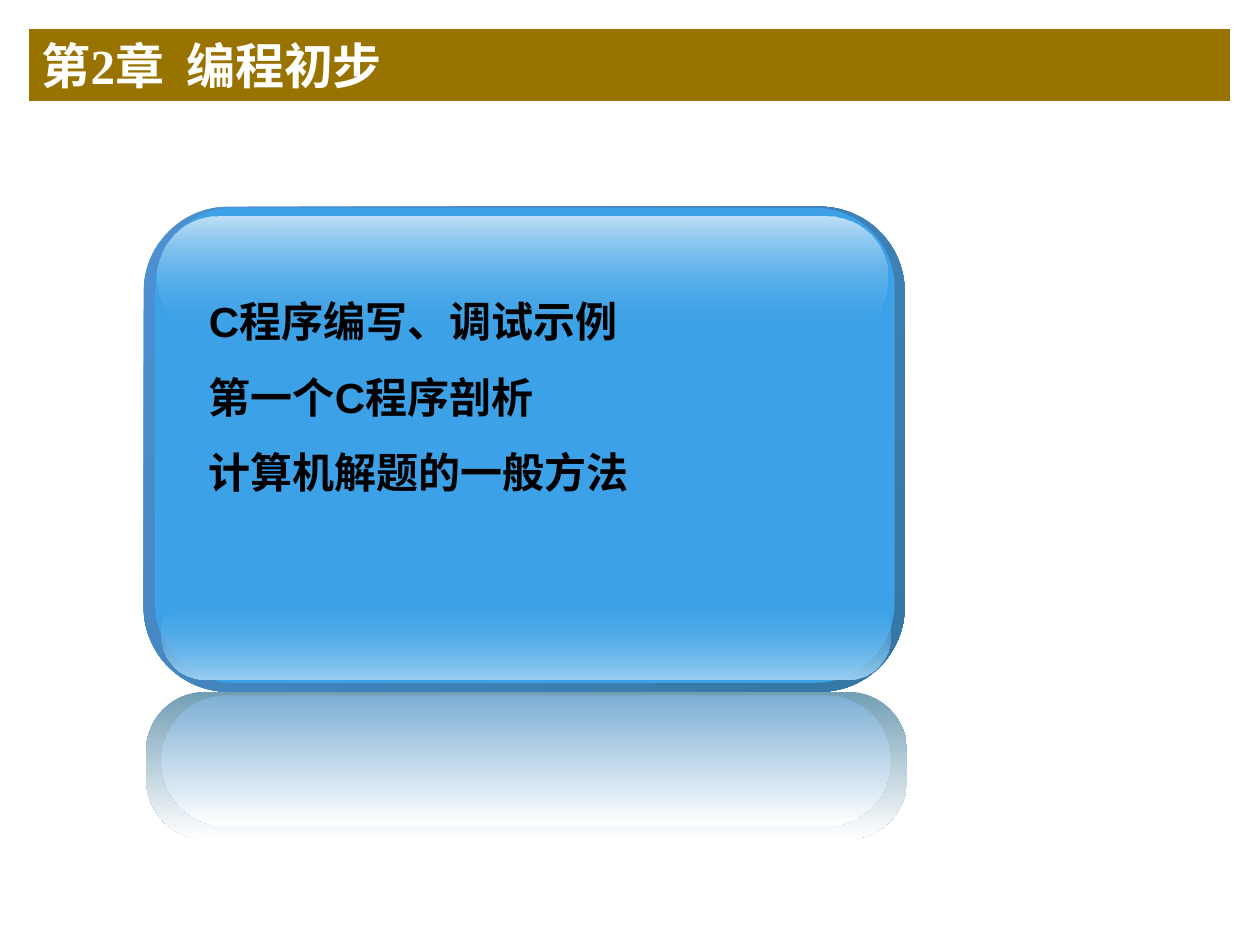
"""Build the chapter 2 opening slide with a glossy topic panel."""
from dataclasses import dataclass

import lxml.etree
import pptx
import pptx.dml.color
import pptx.enum.shapes
import pptx.enum.text
import pptx.oxml.ns
import pptx.util

COLORS = {
    "title_bar": "997300", "title_text": "FFFFFF", "topic_text": "000000",
    "rim_light": "4E91D4", "rim_dark": "3477A4", "panel": "3CA1E6",
    "top_gloss": "BEE0F7", "bottom_gloss": "9BCFF2",
    "outer_reflection": "729EB4", "inner_reflection": "7DAFD4", "background": "FFFFFF",
}
TOPICS = ["C程序编写、调试示例", "第一个C程序剖析", "计算机解题的一般方法"]


@dataclass(frozen=True)
class Layer:
    left: float
    top: float
    width: float
    height: float
    rounding: float
    colors: tuple[str, ...]
    angle: int = 270
    clear_stop: int | None = None


LAYERS = [
    Layer(82.1, 118.1, 434.9, 277.2, 0.175, ("rim_light", "rim_dark"), angle=315),
    Layer(88.6, 118.8, 422.6, 271.4, 0.167, ("panel",)),
    Layer(92.2, 337.7, 416.9, 50.4, 0.5, ("panel", "bottom_gloss"), clear_stop=0),
    Layer(90, 123.8, 416.9, 69.1, 0.5, ("top_gloss", "panel"), clear_stop=1),
    Layer(83.5, 395.3, 434.9, 84.2, 0.404, ("outer_reflection", "background")),
    Layer(92.2, 397.4, 416.9, 74.9, 0.5, ("inner_reflection", "background")),
]


def rgb(name: str) -> pptx.dml.color.RGBColor:
    """Return the named colour."""
    return pptx.dml.color.RGBColor.from_string(COLORS[name])


def place(shape, left: float, top: float, width: float, height: float) -> None:
    """Set a shape's position and size in points."""
    shape.left, shape.top, shape.width, shape.height = map(
        pptx.util.Pt, (left, top, width, height))


def draw_layer(slide, layer: Layer) -> None:
    """Draw one rounded layer of the panel."""
    shape = slide.shapes.add_shape(
        pptx.enum.shapes.MSO_SHAPE.ROUNDED_RECTANGLE,
        *map(pptx.util.Pt, (layer.left, layer.top, layer.width, layer.height)))
    shape.adjustments[0] = layer.rounding
    shape.shadow.inherit = False
    shape.line.fill.background()
    if len(layer.colors) == 1:
        shape.fill.solid()
        shape.fill.fore_color.rgb = rgb(layer.colors[0])
        return
    shape.fill.gradient()
    shape.fill.gradient_angle = layer.angle
    for stop, color in zip(shape.fill.gradient_stops, layer.colors):
        stop.color.rgb = rgb(color)
    if layer.clear_stop is not None:
        qualified = pptx.oxml.ns.qn
        fills = list(shape.element.spPr.iter(qualified("a:srgbClr")))
        lxml.etree.SubElement(fills[layer.clear_stop], qualified("a:alpha"), val="0")


def write_text(shape, lines: list[str], *, font: str, size: float, color: str,
               spacing: float = 1.0, anchor=pptx.enum.text.MSO_ANCHOR.TOP) -> None:
    """Write bold left-aligned paragraphs into a shape."""
    frame = shape.text_frame
    frame.word_wrap = True
    frame.auto_size = pptx.enum.text.MSO_AUTO_SIZE.NONE
    frame.vertical_anchor = anchor
    frame.text = "\n".join(lines)
    for paragraph in frame.paragraphs:
        paragraph.alignment = pptx.enum.text.PP_ALIGN.LEFT
        paragraph.line_spacing = spacing
        for run in paragraph.runs:
            run.font.name = font
            run.font.size = pptx.util.Pt(size)
            run.font.bold = True
            run.font.color.rgb = rgb(color)


def main() -> None:
    """Build and save the presentation."""
    presentation = pptx.Presentation()
    presentation.slide_width = pptx.util.Pt(720)
    presentation.slide_height = pptx.util.Pt(540)
    slide = presentation.slides.add_slide(presentation.slide_layouts[5])

    title = slide.shapes.title
    place(title, 16.6, 16.6, 686.2, 41)
    title.fill.solid()
    title.fill.fore_color.rgb = rgb("title_bar")
    write_text(title, ["第2章  编程初步"], font="Times New Roman", size=28,
               color="title_text", anchor=pptx.enum.text.MSO_ANCHOR.MIDDLE)

    for layer in LAYERS:
        draw_layer(slide, layer)

    topics = slide.shapes.add_textbox(0, 0, 0, 0)
    place(topics, 112.3, 151, 374.4, 137)
    write_text(topics, TOPICS, font="Arial", size=24, color="topic_text", spacing=1.5)

    presentation.save("out.pptx")


if __name__ == "__main__":
    main()
